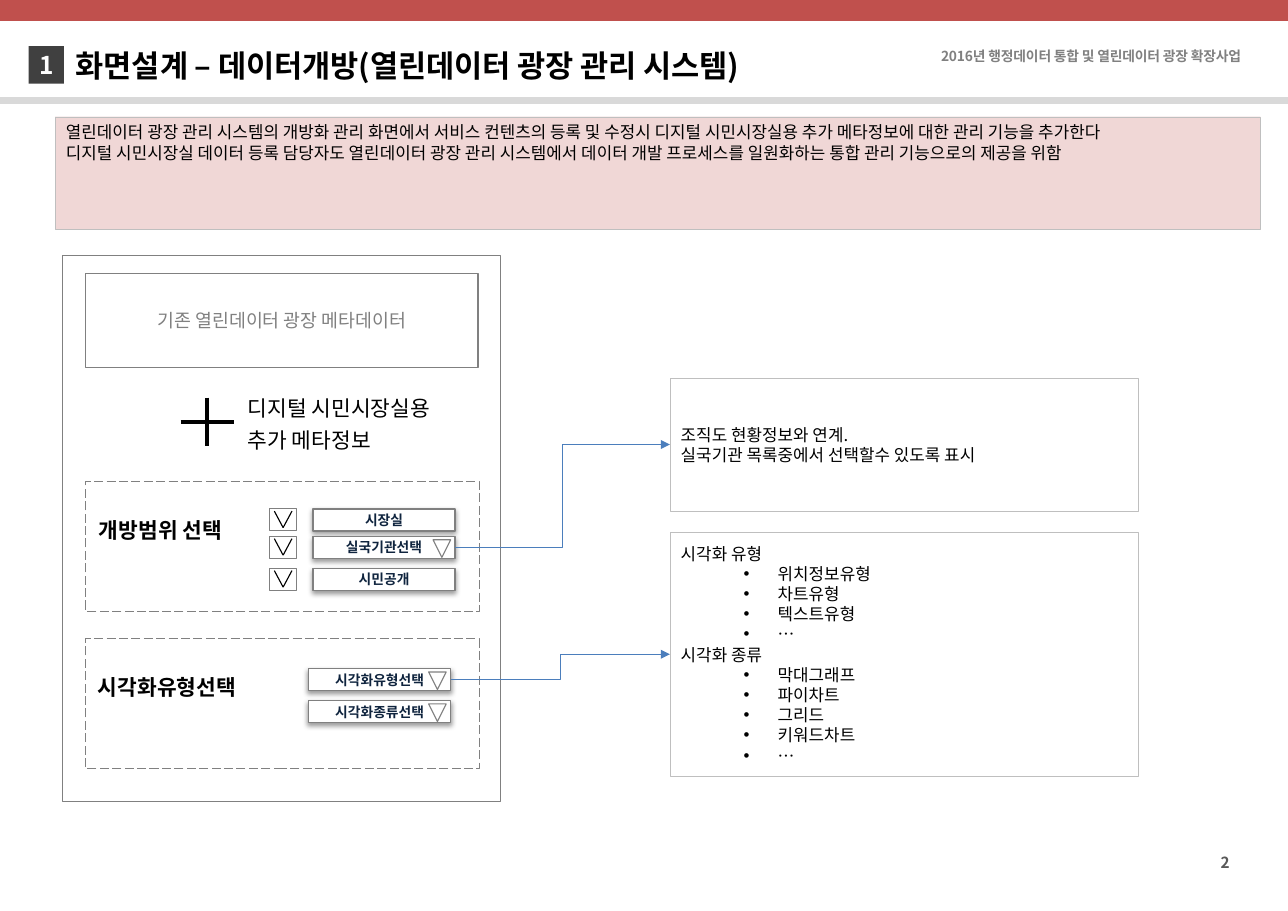
"""Build the screen design slide for the open data plaza management system."""
from dataclasses import dataclass

from lxml import etree
from pptx import Presentation
from pptx import util as u
from pptx.dml.color import RGBColor
from pptx.enum import dml, shapes, text
from pptx.oxml import ns

PX = 9144
FONT = "Noto Sans CJK KR"
COLORS = {
    "white": "FFFFFF", "black": "000000", "red": "C0504D", "rule": "D9D9D9",
    "pink": "D99694", "pale": "BFBFBF", "gray": "808080", "dark": "404040",
    "number": "595959", "navy": "0F243E", "blue": "4B7EBC",
}
TOP, MIDDLE = text.MSO_ANCHOR.TOP, text.MSO_ANCHOR.MIDDLE
LEFT, CENTER, RIGHT = text.PP_ALIGN.LEFT, text.PP_ALIGN.CENTER, text.PP_ALIGN.RIGHT
RECT = shapes.MSO_SHAPE.RECTANGLE
STRAIGHT, ELBOW = shapes.MSO_CONNECTOR.STRAIGHT, shapes.MSO_CONNECTOR.ELBOW


@dataclass
class Copy:
    lines: tuple
    size: int
    color: str = "black"
    bold: bool = False
    align: int = LEFT
    anchor: int = TOP
    pitch: float = 1.2
    gap: float = 0
    tight: bool = False
    latin: str = FONT
    inset: tuple = (10, 5)
    margin: int = 0


@dataclass
class Box:
    x: int
    y: int
    w: int
    h: int
    fill: str = ""
    line: str = ""
    weight: float = 0.75
    copy: Copy | None = None
    alpha: int = 100
    dashed: bool = False
    shadow: bool = False
    kind: int = RECT
    rotation: int = 0


@dataclass
class Row:
    x: int
    y: int
    label: str
    checked: bool = False
    dropdown: bool = False


def rgb(name: str) -> RGBColor:
    return RGBColor.from_string(COLORS[name])


def add(parent, tag: str, **attrs):
    return etree.SubElement(parent, ns.qn(tag), attrs)


def set_all(obj, values: dict) -> None:
    for name, value in values.items():
        setattr(obj, name, value)


def write(s, copy: Copy) -> None:
    tf = s.text_frame
    dx, dy = (v * PX for v in copy.inset)
    set_all(tf, {"word_wrap": True, "vertical_anchor": copy.anchor, "margin_left": dx,
                 "margin_right": dx, "margin_top": dy, "margin_bottom": dy})
    for i, line in enumerate(copy.lines):
        p = tf.add_paragraph() if i else tf.paragraphs[0]
        pPr = p._p.get_or_add_pPr()
        if line.startswith("•"):
            set_all(p, {"level": 1})
            pPr.set("marL", str(88 * PX))
            pPr.set("indent", str(-31 * PX))
            add(pPr, "a:buFont", typeface="Arial")
            add(pPr, "a:buChar", char="•")
        elif copy.margin:
            pPr.set("marL", str(copy.margin * PX))
        set_all(p, {"alignment": copy.align,
                    "line_spacing": u.Pt(round(copy.size * copy.pitch, 1))})
        if i and copy.gap:
            p.space_before = u.Pt(copy.gap)
        r = p.add_run()
        r.text = line.lstrip("•")
        set_all(r.font, {"size": u.Pt(copy.size), "bold": copy.bold, "name": copy.latin})
        r.font.color.rgb = rgb(copy.color)
        rPr = r._r.get_or_add_rPr()
        add(rPr, "a:ea", typeface=FONT)
        if copy.tight:
            rPr.set("spc", "-10")


def draw_box(sp, box: Box):
    area = [v * PX for v in (box.x, box.y, box.w, box.h)]
    if box.copy and not box.fill and not box.line:
        s = sp.add_textbox(*area)
        write(s, box.copy)
        return s
    s = sp.add_shape(box.kind, *area)
    s.shadow.inherit = False
    s.rotation = box.rotation
    if box.fill:
        s.fill.solid()
        s.fill.fore_color.rgb = rgb(box.fill)
        if box.alpha < 100:
            clr = s._element.spPr.find(".//" + ns.qn("a:srgbClr"))
            add(clr, "a:alpha", val=str(box.alpha * 1000))
    else:
        s.fill.background()
    if box.line:
        s.line.color.rgb = rgb(box.line)
        s.line.width = u.Pt(box.weight)
    else:
        s.line.fill.background()
    if box.dashed:
        s.line.dash_style = dml.MSO_LINE.LONG_DASH
    if box.shadow:
        effects = s._element.spPr.find(ns.qn("a:effectLst"))
        shade = add(effects, "a:outerShdw", blurRad="40000", dist="20000",
                    dir="5400000", rotWithShape="0")
        add(add(shade, "a:srgbClr", val=COLORS["black"]), "a:alpha", val="38000")
    if box.copy:
        write(s, box.copy)
    return s


def draw_line(sp, ends: tuple, color: str = "black", weight: float = 0.75, kind: int = STRAIGHT):
    s = sp.add_connector(kind, *(v * PX for v in ends))
    s.line.color.rgb = rgb(color)
    s.line.width = u.Pt(weight)
    add(s._element.spPr, "a:effectLst")
    return s


def draw_arrow(sp, start, end) -> None:
    ends = (start.left + start.width, start.top + start.height // 2,
            end.left, end.top + end.height // 2)
    s = draw_line(sp, tuple(v // PX for v in ends), "blue", kind=ELBOW)
    s.begin_connect(start, 3)
    s.end_connect(end, 1)
    add(s.line._get_or_add_ln(), "a:tailEnd", type="triangle")


def draw_row(sp, row: Row):
    label = Copy((row.label,), 9, "navy", True, CENTER, MIDDLE)
    s = draw_box(sp, Box(row.x, row.y, 129, 20, "white", "gray", 1, label, shadow=True))
    if row.checked:
        x, y = row.x - 39, row.y
        draw_box(sp, Box(x, y, 24, 20, line="gray"))
        draw_line(sp, (x + 4, y + 2, x + 12, y + 17))
        draw_line(sp, (x + 12, y + 17, x + 20, y + 2))
    if row.dropdown:
        draw_box(sp, Box(row.x + 109, row.y + 3, 16, 16, line="gray", rotation=180,
                         kind=shapes.MSO_SHAPE.ISOSCELES_TRIANGLE))
    return s


SUMMARY = (
    "열린데이터 광장 관리 시스템의 개방화 관리 화면에서 서비스 컨텐츠의 등록 및 수정시 디지털 시민시장실용 추가 메타정보에 대한 관리 기능을 추가한다",
    "디지털 시민시장실 데이터 등록 담당자도 열린데이터 광장 관리 시스템에서 데이터 개발 프로세스를 일원화하는 통합 관리 기능으로의 제공을 위함",
)
BOXES = (
    Box(941, 752, 186, 62, copy=Copy(("2",), 10, "number", True, RIGHT, MIDDLE,
                                     tight=True, inset=(11, 6))),
    Box(0, 0, 1169, 19, "red"),
    Box(829, 31, 307, 30, copy=Copy(("2016년 행정데이터 통합 및 열린데이터 광장 확장사업",), 9, "gray",
                                    True, RIGHT, pitch=1.8, tight=True)),
    Box(50, 106, 1094, 102, "pink", "pale", 0.25, Copy(SUMMARY, 11, latin="Arial"), alpha=38),
    Box(26, 42, 32, 34, "dark", copy=Copy(("1",), 16, "white", True, CENTER, MIDDLE)),
    Box(57, 38, 691, 44, copy=Copy(("화면설계 – 데이터개방(열린데이터 광장 관리 시스템)",), 20,
                                   bold=True, tight=True, margin=2)),
    Box(57, 232, 397, 496, line="gray"),
    Box(78, 248, 356, 86, line="gray",
        copy=Copy(("기존 열린데이터 광장 메타데이터",), 12, "gray", align=CENTER, anchor=MIDDLE)),
    Box(215, 351, 223, 64, copy=Copy(("디지털 시민시장실용", "추가 메타정보"), 14, pitch=1.32, gap=2.4)),
    Box(78, 437, 357, 118, line="gray", dashed=True),
    Box(80, 462, 165, 34, copy=Copy(("개방범위 선택",), 14, bold=True, pitch=1.32)),
    Box(78, 580, 357, 118, line="gray", dashed=True),
    Box(79, 605, 165, 34, copy=Copy(("시각화유형선택",), 14, bold=True, pitch=1.32)),
)
ROWS = (
    Row(284, 462, "시장실", checked=True),
    Row(284, 487, "실국기관선택", checked=True, dropdown=True),
    Row(284, 516, "시민공개", checked=True),
    Row(280, 607, "시각화유형선택", dropdown=True),
    Row(280, 636, "시각화종류선택", dropdown=True),
)
NOTES = (
    Box(608, 343, 425, 121, "white", "pale", 0.25,
        Copy(("조직도 현황정보와 연계.", "실국기관 목록중에서 선택할수 있도록 표시"), 11, anchor=MIDDLE)),
    Box(608, 483, 425, 222, "white", "pale", 0.25,
        Copy(("시각화 유형", "•위치정보유형", "•차트유형", "•텍스트유형", "•…",
              "시각화 종류", "•막대그래프", "•파이차트", "•그리드", "•키워드차트", "•…"),
             11, anchor=MIDDLE)),
)


def main() -> None:
    prs = Presentation()
    set_all(prs, {"slide_width": 1169 * PX, "slide_height": 827 * PX})
    sp = prs.slides.add_slide(prs.slide_layouts[6]).shapes
    draw_line(sp, (0, 91, 1169, 91), "rule", 4.5)
    for box in BOXES:
        draw_box(sp, box)
    for ends in ((164, 383, 212, 383), (188, 361, 188, 405)):
        draw_line(sp, ends, weight=3)
    rows = [draw_row(sp, row) for row in ROWS]
    notes = [draw_box(sp, box) for box in NOTES]
    draw_arrow(sp, rows[1], notes[0])
    draw_arrow(sp, rows[3], notes[1])
    prs.save("out.pptx")


if __name__ == "__main__":
    main()
